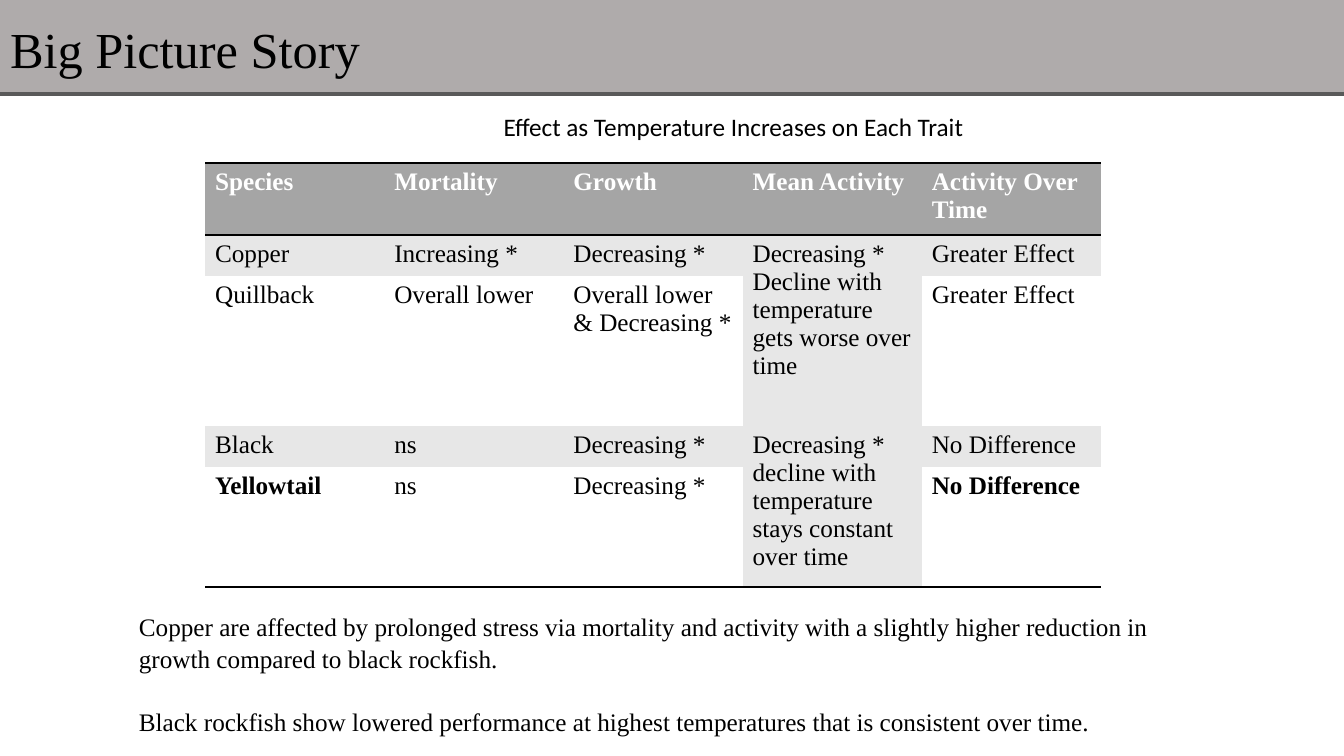
from pptx import Presentation
from pptx import util as u
from pptx.dml.color import RGBColor
from pptx.enum import shapes, text
from pptx.oxml import ns
from lxml import etree

BLACK = RGBColor(0x00, 0x00, 0x00)
WHITE = RGBColor(0xFF, 0xFF, 0xFF)
BAND = RGBColor(0xAF, 0xAB, 0xAB)
RULE = RGBColor(0x59, 0x59, 0x59)
HEADER = RGBColor(0xA5, 0xA5, 0xA5)
STRIPE = RGBColor(0xE7, 0xE7, 0xE7)

SERIF, SANS = "Times New Roman", "Calibri"
NO_STYLE = "{2D5ABB26-0587-4C30-8999-92F81FD0307C}"
SLIDE_W, SLIDE_H = 1344, 756

ROW_HEIGHTS = [72, 41, 150, 41, 120]
TRAITS = [
    ["Species", "Mortality", "Growth", "Mean Activity", "Activity Over Time"],
    ["Copper", "Increasing *", "Decreasing *",
     "Decreasing * Decline with temperature gets worse over time", "Greater Effect"],
    ["Quillback", "Overall lower", "Overall lower & Decreasing *", "", "Greater Effect"],
    ["Black", "ns", "Decreasing *",
     "Decreasing * decline with temperature stays constant over time", "No Difference"],
    ["Yellowtail", "ns", "Decreasing *", "", "No Difference"],
]
ACTIVITY_COL = 3
BOLD_CELLS = {(4, 0), (4, 4)}
FINDINGS = [
    "Copper are affected by prolonged stress via mortality and activity with a "
    "slightly higher reduction in growth compared to black rockfish.",
    "Black rockfish show lowered performance at highest temperatures that is "
    "consistent over time.",
]


def px(n):
    return u.Emu(round(n * 914400 / 100.8))


def set_font(p, size=18, name=SERIF, color=BLACK, bold=False):
    p.font.size, p.font.name, p.font.bold = u.Pt(size), name, bold
    p.font.color.rgb = color


def add_header(s, x, y, w, h):
    """Title on a grey band with a dark rule beneath."""
    band = s.shapes.add_shape(shapes.MSO_SHAPE.RECTANGLE, px(x), px(y), px(w), px(h))
    band.shadow.inherit = False
    band.fill.solid()
    band.fill.fore_color.rgb = BAND
    band.line.color.rgb = BAND
    band.line.width = u.Pt(0.5)

    rule = s.shapes.add_connector(shapes.MSO_CONNECTOR.STRAIGHT,
                                  px(x), px(y + h), px(x + w), px(y + h))
    rule.line.color.rgb = RULE
    rule.line.width = u.Pt(3)
    etree.SubElement(rule.element.spPr, ns.qn("a:effectLst"))

    title = s.shapes.title
    title.element.addprevious(band.element)
    title.element.addprevious(rule.element)
    title.left, title.top, title.width, title.height = px(x), px(y + 13), px(778), px(72)
    tf = title.text_frame
    tf.text = "Big Picture Story"
    tf.vertical_anchor = text.MSO_ANCHOR.TOP
    tf.paragraphs[0].alignment = text.PP_ALIGN.LEFT
    set_font(tf.paragraphs[0], 36)


def add_text(s, x, y, w, h, lines):
    box = s.shapes.add_textbox(px(x), px(y), px(w), px(h))
    tf = box.text_frame
    tf.word_wrap = True
    tf.text = "\n".join(lines)
    return tf.paragraphs


def add_caption(s, x, y, w, h):
    p = add_text(s, x, y, w, h, ["Effect as Temperature Increases on Each Trait"])[0]
    p.alignment = text.PP_ALIGN.CENTER
    set_font(p, name=SANS)


def add_border(cell, side):
    ln = etree.SubElement(cell._tc.get_or_add_tcPr(), ns.qn(f"a:ln{side}"),
                          w=str(u.Pt(2)))
    fill = etree.SubElement(ln, ns.qn("a:solidFill"))
    etree.SubElement(fill, ns.qn("a:srgbClr"), val=str(BLACK))


def format_cell(cell, row, col):
    is_header = row == 0
    if is_header:
        add_border(cell, "T")
    if row in (0, len(TRAITS) - 1):
        add_border(cell, "B")
    striped = row % 2 == 1 or col == ACTIVITY_COL
    cell.fill.solid()
    cell.fill.fore_color.rgb = HEADER if is_header else STRIPE if striped else WHITE
    set_font(cell.text_frame.paragraphs[0], color=WHITE if is_header else BLACK,
             bold=is_header or (row, col) in BOLD_CELLS)


def add_trait_table(s, x, y, w):
    frame = s.shapes.add_table(len(TRAITS), len(TRAITS[0]), px(x), px(y), px(w),
                               px(sum(ROW_HEIGHTS)))
    table = frame.table
    table.first_row = table.horz_banding = False
    frame.element.find(".//" + ns.qn("a:tableStyleId")).text = NO_STYLE
    for column in table.columns:
        column.width = px(w / len(TRAITS[0]))
    for row, values in enumerate(TRAITS):
        table.rows[row].height = px(ROW_HEIGHTS[row])
        for col, value in enumerate(values):
            cell = table.cell(row, col)
            cell.text = value
            format_cell(cell, row, col)
    for row in (1, 3):
        table.cell(row, ACTIVITY_COL).merge(table.cell(row + 1, ACTIVITY_COL))
    # A merged cell takes its bottom border from its first row.
    last = table.cell(3, ACTIVITY_COL)
    add_border(last, "B")
    props = last._tc.tcPr
    props.insert(0, props[-1])


def add_findings(s, x, y, w, h):
    for i, p in enumerate(add_text(s, x, y, w, h, FINDINGS)):
        p.line_spacing = 1.07
        if i:
            p.space_before = u.Pt(22)
        set_font(p)


def main():
    prs = Presentation()
    prs.slide_width, prs.slide_height = px(SLIDE_W), px(SLIDE_H)
    s = prs.slides.add_slide(prs.slide_layouts[5])
    add_header(s, 0, 0, SLIDE_W, 94)
    add_trait_table(s, 205, 163, 896)
    add_findings(s, 129, 604, 1048, 132)
    add_caption(s, 365, 106, 737, 40)
    prs.save("out.pptx")


if __name__ == "__main__":
    main()
